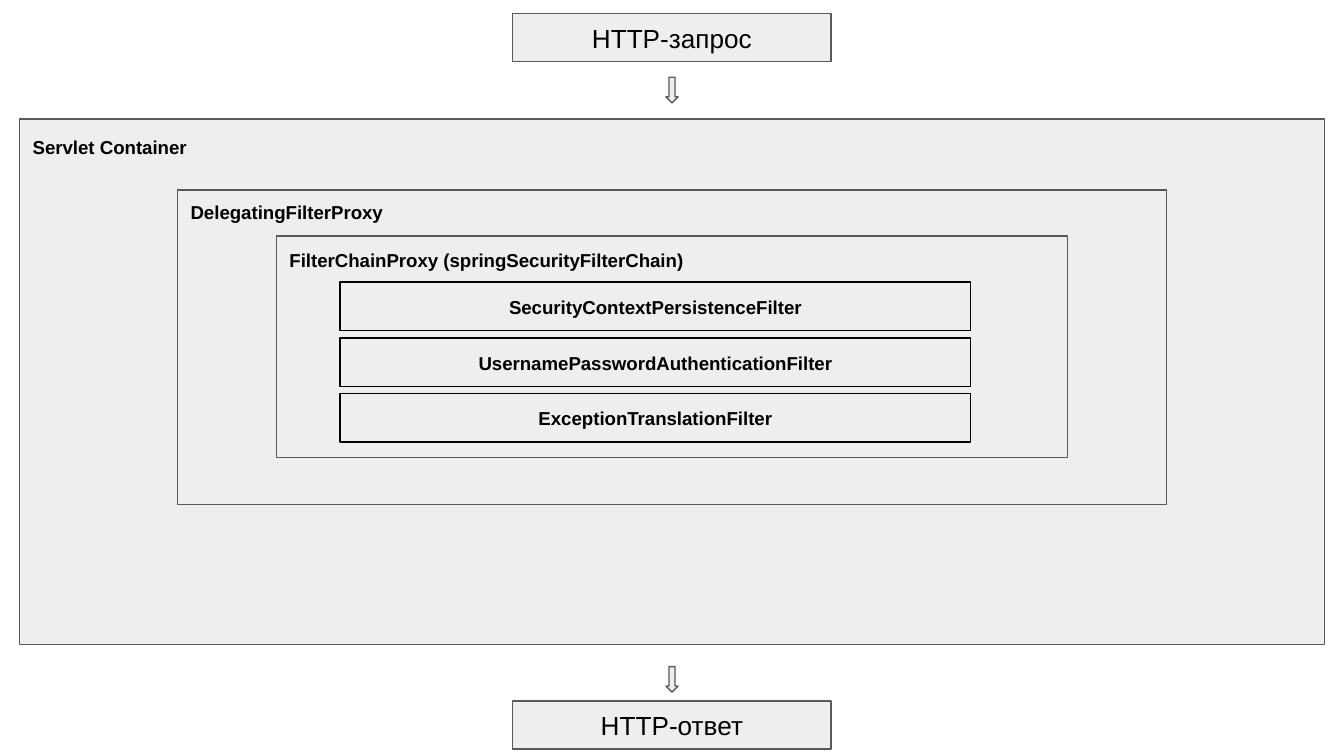
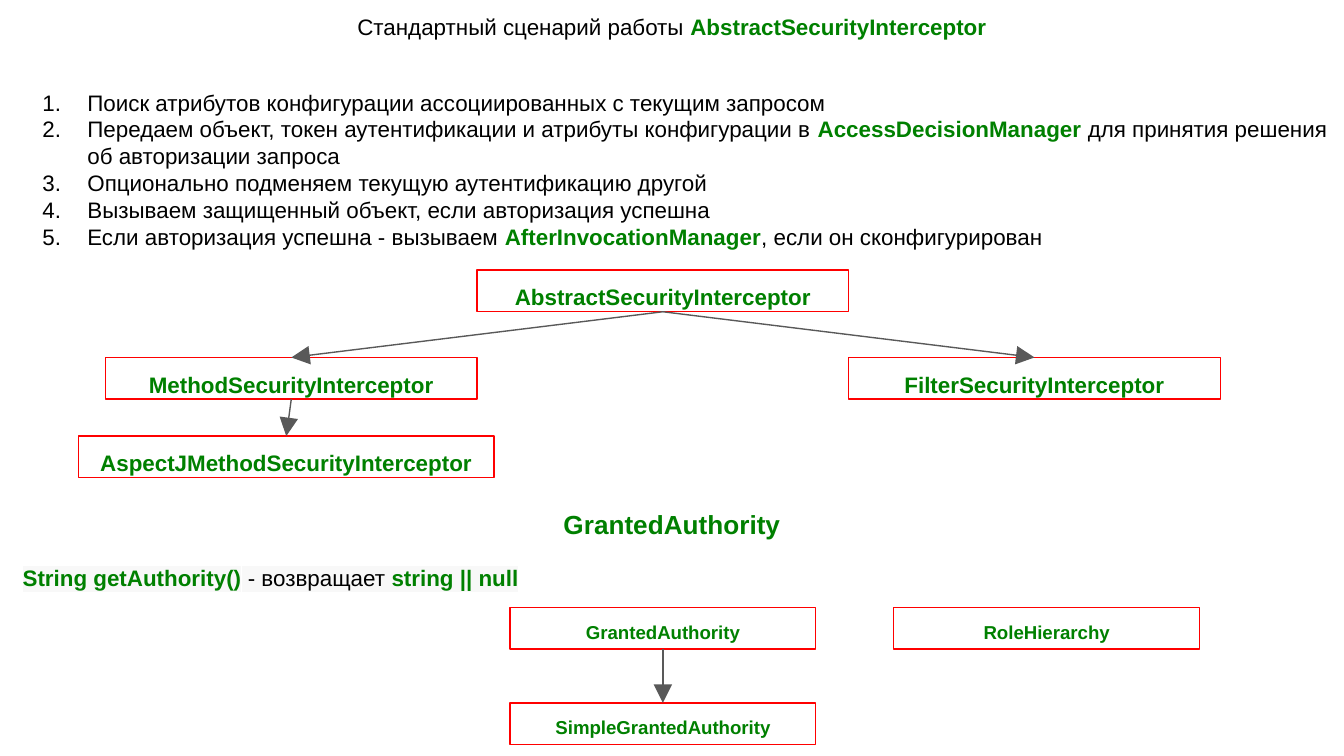
"""Build two slides on request filtering and security interceptors."""
from dataclasses import dataclass

from lxml import etree
from pptx import Presentation
from pptx.dml.color import RGBColor
from pptx.enum.shapes import MSO_CONNECTOR, MSO_SHAPE
from pptx.enum.text import MSO_ANCHOR, MSO_AUTO_SIZE, PP_ALIGN
from pptx.oxml.ns import qn
from pptx.util import Emu, Pt

RECTANGLE = MSO_SHAPE.RECTANGLE
DOWN_ARROW = MSO_SHAPE.DOWN_ARROW
STRAIGHT = MSO_CONNECTOR.STRAIGHT
TOP, MIDDLE = MSO_ANCHOR.TOP, MSO_ANCHOR.MIDDLE
LEFT, CENTER = PP_ALIGN.LEFT, PP_ALIGN.CENTER
NO_AUTOFIT = MSO_AUTO_SIZE.NONE
TOP_SIDE, BOTTOM_SIDE = 0, 2
TITLE_AND_CONTENT, BLANK = 1, 6
EMU_PER_PX = 4572


@dataclass(frozen=True)
class Theme:
    """Colours, type sizes and measures shared by the slides."""
    font: str = "Arial"
    text: str = "000000"
    term: str = "008000"
    panel: str = "EEEEEE"
    outline: str = "595959"
    type_outline: str = "FF0000"
    highlight: str = "F8F8F8"
    small: int = 10
    body: int = 12
    large: int = 14
    line_width: float = 0.75
    inset: int = 20


THEME = Theme()


@dataclass(frozen=True)
class Box:
    """A rectangle in px."""
    left: int
    top: int
    width: int
    height: int

    def inside(self, left, top, width, height):
        """Return a box placed relative to this one."""
        return Box(self.left + left, self.top + top, width, height)

    def emu(self):
        """Return left, top, width and height in EMU."""
        return [px(value) for value in (self.left, self.top, self.width, self.height)]


SLIDE = Box(0, 0, 2000, 1125)


def px(value):
    """Turn px into EMU."""
    return Emu(value * EMU_PER_PX)


def rgb(color):
    """Return a colour object for a hex string."""
    return RGBColor.from_string(color)


def term(text):
    """Return a run that stands out as a type name."""
    return text, True


def plain(text):
    """Return an ordinary run."""
    return text, False


def write(shape, *paragraphs, size=THEME.body, bold=False, align=LEFT, anchor=TOP,
          spacing=1.0, highlight=None, numbered=False):
    """Write paragraphs of runs into a shape with one format."""
    frame = shape.text_frame
    frame.word_wrap = True
    frame.auto_size = NO_AUTOFIT
    frame.vertical_anchor = anchor
    frame.margin_left = frame.margin_right = px(THEME.inset)
    frame.margin_top = frame.margin_bottom = px(THEME.inset)
    for index, runs in enumerate(paragraphs):
        paragraph = frame.add_paragraph() if index else frame.paragraphs[0]
        paragraph.alignment = align
        paragraph.line_spacing = spacing
        paragraph.space_before = paragraph.space_after = Pt(0)
        if numbered:
            number(paragraph)
        for text, is_term in runs:
            run = paragraph.add_run()
            run.text = text
            run.font.size = Pt(size)
            run.font.bold = bold or is_term
            run.font.color.rgb = rgb(THEME.term if is_term else THEME.text)
            run.font.name = THEME.font
            if highlight:
                mark(run, highlight)


def number(paragraph):
    """Give a paragraph a hanging automatic number."""
    properties = paragraph._p.get_or_add_pPr()
    properties.set("marL", str(px(100)))
    properties.set("indent", str(px(-67)))
    font = etree.SubElement(properties, qn("a:buFont"))
    font.set("typeface", THEME.font)
    etree.SubElement(properties, qn("a:buAutoNum")).set("type", "arabicPeriod")


def mark(run, color):
    """Put a highlight colour behind a run."""
    fill = run._r.get_or_add_rPr().find(qn("a:solidFill"))
    highlight = etree.Element(qn("a:highlight"))
    etree.SubElement(highlight, qn("a:srgbClr")).set("val", color)
    fill.addnext(highlight)


def add_shape(slide, box, kind=RECTANGLE, fill=None, outline=THEME.outline):
    """Draw an outlined shape with an optional fill."""
    shape = slide.shapes.add_shape(kind, *box.emu())
    shape.shadow.inherit = False
    if fill:
        shape.fill.solid()
        shape.fill.fore_color.rgb = rgb(fill)
    else:
        shape.fill.background()
    shape.line.color.rgb = rgb(outline)
    shape.line.width = Pt(THEME.line_width)
    return shape


def add_text(slide, box, *runs, **text_format):
    """Add a text box with one paragraph."""
    write(slide.shapes.add_textbox(*box.emu()), runs, **text_format)


def add_type(slide, box, name, size):
    """Draw a box that names a type."""
    shape = add_shape(slide, box, outline=THEME.type_outline)
    write(shape, [term(name)], size=size, align=CENTER)
    return shape


def connect(slide, parent, child):
    """Join a parent's bottom to a child's top with an arrow."""
    connector = slide.shapes.add_connector(STRAIGHT, 0, 0, 0, 0)
    connector.begin_connect(parent, BOTTOM_SIDE)
    connector.end_connect(child, TOP_SIDE)
    connector.line.color.rgb = rgb(THEME.outline)
    connector.line.width = Pt(THEME.line_width)
    arrowhead = etree.SubElement(connector.line._get_or_add_ln(), qn("a:tailEnd"))
    arrowhead.set("type", "triangle")
    arrowhead.set("w", "lg")
    arrowhead.set("len", "lg")
    etree.SubElement(connector._element.spPr, qn("a:effectLst"))


def fill_placeholder(placeholder, box, *paragraphs, **text_format):
    """Move a placeholder and write its text."""
    placeholder.left, placeholder.top, placeholder.width, placeholder.height = box.emu()
    write(placeholder, *paragraphs, **text_format)


def add_message(slide, box, text):
    """Draw the box of an HTTP message."""
    shape = add_shape(slide, box, fill=THEME.panel)
    write(shape, [plain(text)], size=THEME.large, align=CENTER, anchor=MIDDLE)


def add_container(slide, box, label, label_box):
    """Draw a panel with its label."""
    add_shape(slide, box, fill=THEME.panel)
    add_text(slide, label_box, plain(label), size=THEME.small, bold=True)


def add_filter_chain(slide, box):
    """Draw the filter chain proxy and its filters."""
    add_container(slide, box, "FilterChainProxy (springSecurityFilterChain)",
                  box.inside(0, 0, 882, 56))
    filters = ("SecurityContextPersistenceFilter", "UsernamePasswordAuthenticationFilter",
               "ExceptionTranslationFilter")
    for index, name in enumerate(filters):
        shape = add_shape(slide, box.inside(95, 69 + 83 * index, 938, 72), outline=THEME.text)
        write(shape, [plain(name)], size=THEME.small, bold=True, align=CENTER)


def add_servlet_container(slide, box):
    """Draw the nested containers."""
    proxy = box.inside(235, 106, 1472, 468)
    add_container(slide, box, "Servlet Container", box.inside(0, 5, 304, 56))
    add_container(slide, proxy, "DelegatingFilterProxy", proxy.inside(0, -4, 360, 56))
    add_filter_chain(slide, proxy.inside(147, 68, 1178, 330))


def add_interceptor_tree(slide, box):
    """Draw the hierarchy of interceptors."""
    root = add_type(slide, box.inside(593, 0, 553, 62), "AbstractSecurityInterceptor", THEME.body)
    method = add_type(slide, box.inside(40, 130, 553, 62), "MethodSecurityInterceptor", THEME.body)
    web = add_type(slide, box.inside(1146, 130, 553, 62), "FilterSecurityInterceptor", THEME.body)
    aspect = add_type(slide, box.inside(0, 247, 618, 62), "AspectJMethodSecurityInterceptor",
                      THEME.body)
    for parent, child in ((root, method), (root, web), (method, aspect)):
        connect(slide, parent, child)


def add_authority_section(slide, box):
    """Describe the granted authority and its types."""
    add_text(slide, box.inside(0, 0, box.width, 82), term("GrantedAuthority"),
             size=THEME.large, align=CENTER)
    add_text(slide, box.inside(14, 67, 1974, 82), term("String getAuthority()"),
             plain(" - возвращает "), term("string || null"),
             spacing=1.4, highlight=THEME.highlight)
    granted = add_type(slide, box.inside(759, 167, 455, 62), "GrantedAuthority", THEME.small)
    simple = add_type(slide, box.inside(759, 309, 455, 62), "SimpleGrantedAuthority", THEME.small)
    add_type(slide, box.inside(1330, 167, 455, 62), "RoleHierarchy", THEME.small)
    connect(slide, granted, simple)


def build_filter_slide(presentation):
    """Build the slide on the path of a request."""
    slide = presentation.slides.add_slide(presentation.slide_layouts[BLANK])
    add_message(slide, SLIDE.inside(763, 20, 474, 72), "HTTP-запрос")
    add_servlet_container(slide, SLIDE.inside(29, 177, 1942, 782))
    add_message(slide, SLIDE.inside(763, 1043, 474, 72), "HTTP-ответ")
    for top in (115, 992):
        add_shape(slide, SLIDE.inside(991, top, 18, 38), kind=DOWN_ARROW, fill=THEME.panel)


def build_interceptor_slide(presentation):
    """Build the slide on interceptors and authorities."""
    slide = presentation.slides.add_slide(presentation.slide_layouts[TITLE_AND_CONTENT])
    title, body = slide.placeholders
    fill_placeholder(title, SLIDE.inside(0, 0, 2000, 112),
                     [plain("Стандартный сценарий работы "), term("AbstractSecurityInterceptor")],
                     align=CENTER)
    steps = (
        [plain("Поиск атрибутов конфигурации ассоциированных с текущим запросом")],
        [plain("Передаем объект, токен аутентификации и атрибуты конфигурации в "),
         term("AccessDecisionManager"), plain(" для принятия решения об авторизации запроса")],
        [plain("Опционально подменяем текущую аутентификацию другой")],
        [plain("Вызываем защищенный объект, если авторизация успешна")],
        [plain("Если авторизация успешна - вызываем "), term("AfterInvocationManager"),
         plain(", если он сконфигурирован")],
    )
    fill_placeholder(body, SLIDE.inside(10, 112, 1990, 300), *steps, numbered=True)
    add_authority_section(slide, SLIDE.inside(0, 737, 2000, 371))
    add_interceptor_tree(slide, SLIDE.inside(117, 402, 1699, 309))


def main():
    """Build and save the presentation."""
    presentation = Presentation()
    presentation.slide_width, presentation.slide_height = px(SLIDE.width), px(SLIDE.height)
    build_filter_slide(presentation)
    build_interceptor_slide(presentation)
    presentation.save("out.pptx")


if __name__ == "__main__":
    main()
